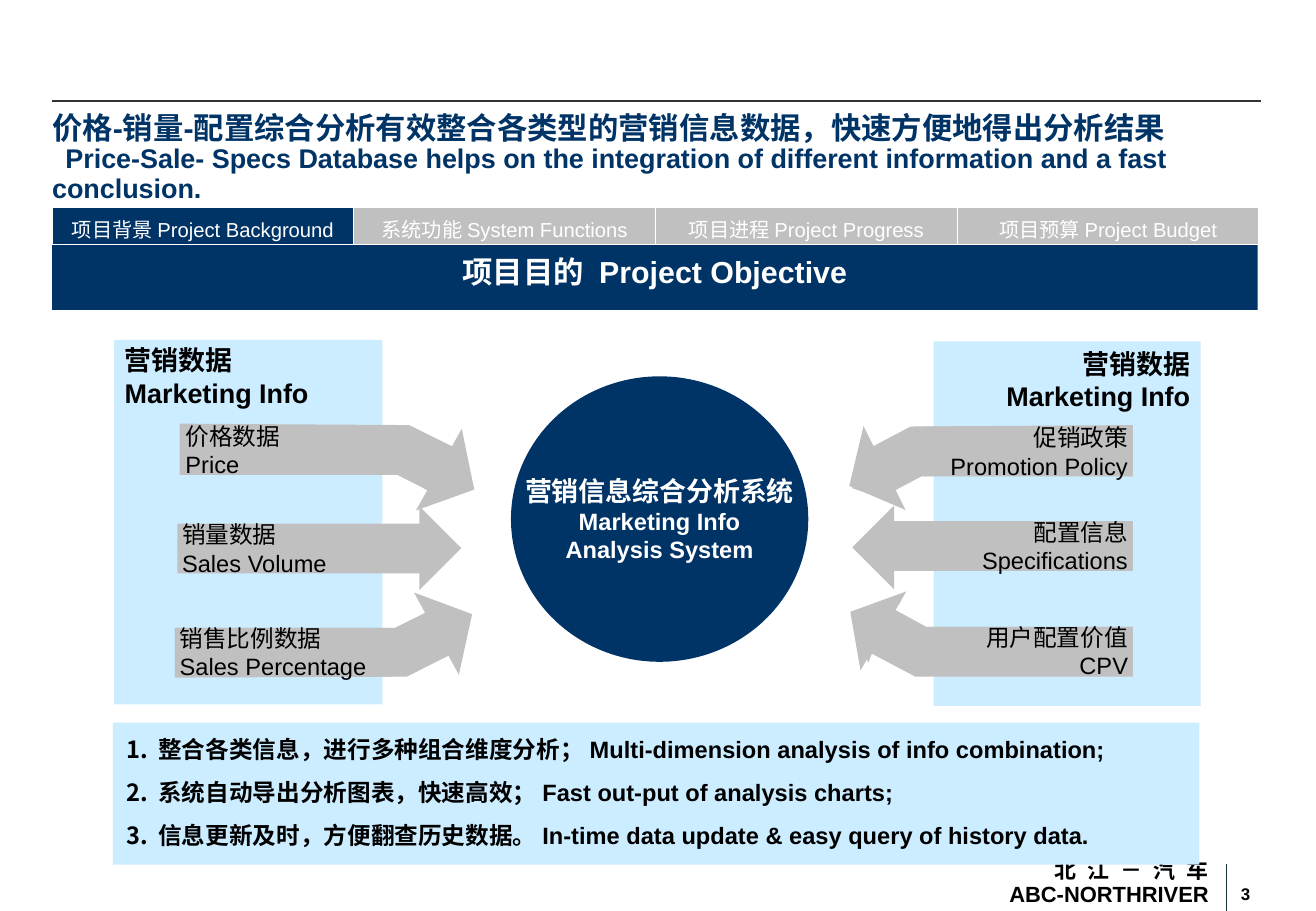
from lxml.etree import SubElement
from pptx import Presentation
from pptx.dml.color import RGBColor
from pptx.enum.shapes import MSO_CONNECTOR, MSO_SHAPE
from pptx.enum.text import MSO_ANCHOR, PP_ALIGN
from pptx.oxml.ns import qn
from pptx.util import Cm, Pt

NAVY = RGBColor(0x00, 0x33, 0x66)
SKY = RGBColor(0xCC, 0xEC, 0xFF)
GREY = RGBColor(0xC0, 0xC0, 0xC0)
CHARCOAL = RGBColor(0x33, 0x33, 0x33)
TEAL = RGBColor(0x17, 0x2F, 0x37)
BLACK = RGBColor(0x00, 0x00, 0x00)
WHITE = RGBColor(0xFF, 0xFF, 0xFF)
LEFT, CENTER, RIGHT = PP_ALIGN.LEFT, PP_ALIGN.CENTER, PP_ALIGN.RIGHT


class Deck:
    font = "Arial"

    def __init__(self, width, height):
        self.prs = Presentation()
        self.prs.slide_width, self.prs.slide_height = Cm(width), Cm(height)
        self.s = self.prs.slides.add_slide(self.prs.slide_layouts[6])

    def fill_text(self, tf, lines, color=BLACK, bold=False, align=LEFT, inset=(0, 0),
                  anchor=MSO_ANCHOR.TOP, wrap=True, leading=None, before=0, numbered=False):
        tf.word_wrap, tf.vertical_anchor = wrap, anchor
        tf.margin_left = tf.margin_right = Cm(inset[0])
        tf.margin_top = tf.margin_bottom = Cm(inset[1])
        for i, runs in enumerate(lines):
            p = tf.paragraphs[0] if i == 0 else tf.add_paragraph()
            p.alignment = align
            if leading:
                p.line_spacing = leading
            if numbered:
                pPr = p._p.get_or_add_pPr()
                pPr.set("marL", str(Cm(0.67)))
                pPr.set("indent", str(-Cm(0.67)))
                SubElement(pPr, qn("a:buAutoNum"), type="arabicPeriod")
            if i and before:
                p.space_before = Pt(before)
            for text, size, *spacing in runs:
                r = p.add_run()
                r.text = text
                r.font.name, r.font.size, r.font.bold = self.font, Pt(size), bold
                r.font.color.rgb = color
                if spacing:
                    r._r.get_or_add_rPr().set("spc", str(spacing[0]))

    def text(self, box, lines, **style):
        tf = self.s.shapes.add_textbox(*map(Cm, box)).text_frame
        self.fill_text(tf, lines, **style)
        return tf

    def paint(self, sp, fill):
        sp.shadow.inherit = False
        sp.fill.solid()
        sp.fill.fore_color.rgb = fill
        sp.line.fill.background()

    def shape(self, kind, box, fill, lines=(), rotation=0, **style):
        sp = self.s.shapes.add_shape(kind, *map(Cm, box))
        self.paint(sp, fill)
        sp.rotation = rotation
        if lines:
            self.fill_text(sp.text_frame, lines, anchor=MSO_ANCHOR.MIDDLE, **style)

    def outline(self, points, fill):
        start, *rest = [(Cm(x), Cm(y)) for x, y in points]
        builder = self.s.shapes.build_freeform(*start)
        builder.add_line_segments(rest, close=True)
        self.paint(builder.convert_to_shape(), fill)

    def line(self, x1, y1, x2, y2, color, width):
        c = self.s.shapes.add_connector(MSO_CONNECTOR.STRAIGHT, *map(Cm, (x1, y1, x2, y2)))
        c.line.color.rgb, c.line.width = color, Pt(width)
        SubElement(c._element.spPr, qn("a:effectLst"))

    def tabs(self, box, labels, active):
        table = self.s.shapes.add_table(1, len(labels), *map(Cm, box)).table
        for i, label in enumerate(labels):
            table.columns[i].width = Cm(box[2] / len(labels))
            cell = table.cell(0, i)
            self.fill_text(cell.text_frame, [[(label, 12)]], color=WHITE, align=CENTER)
            cell.vertical_anchor = MSO_ANCHOR.MIDDLE
            cell.margin_left = cell.margin_right = Cm(0.1)
            cell.margin_top = cell.margin_bottom = Cm(0.13)
            tcPr = cell._tc.get_or_add_tcPr()
            for side in ("lnL", "lnR", "lnT", "lnB"):
                ln = SubElement(tcPr, qn(f"a:{side}"), w=str(Pt(0.75)))
                SubElement(SubElement(ln, qn("a:solidFill")), qn("a:srgbClr"), val=str(WHITE))
            cell.fill.solid()
            cell.fill.fore_color.rgb = NAVY if i == active else GREY

    def feed(self, lines, align, label, head, kind=MSO_SHAPE.LEFT_ARROW, rotation=0, bend=()):
        if bend:
            self.outline(bend, GREY)
        self.shape(MSO_SHAPE.RECTANGLE, label, GREY, [[(t, 14)] for t in lines],
                   align=align, inset=(0.1, 0.1))
        self.shape(kind, head, GREY, rotation=rotation)


def main():
    d = Deck(27.53, 19.05)
    rect = MSO_SHAPE.RECTANGLE

    d.line(1.09, 2.11, 26.37, 2.11, CHARCOAL, 0.75)
    d.text((20.07, 17.98, 5.21, 0.99),
           [[("北 江 － 汽 ", 13, 180), ("车", 13)], [("ABC-NORTHRIVER", 13)]],
           bold=True, align=RIGHT, leading=0.9)
    d.text((25.96, 18.47, 0.43, 0.36), [[("3", 10)]], bold=True, wrap=False)
    d.line(25.65, 18.06, 25.65, 19.05, TEAL, 0.75)
    d.line(1.07, 4.75, 26.37, 4.75, WHITE, 1.5)
    d.line(1.09, 4.7, 26.42, 4.7, WHITE, 1.5)

    d.shape(rect, (1.09, 4.88, 25.22, 1.6), NAVY,
            [[("项目目的", 18), (" ", 18, 500), ("Project Objective", 18)]],
            color=WHITE, bold=True, align=CENTER, inset=(0.1, 0.1))
    d.tabs((1.09, 4.34, 25.25, 0.61),
           ["项目背景 Project Background", "系统功能 System Functions",
            "项目进程 Project Progress", "项目预算 Project Budget"], active=0)

    d.shape(rect, (2.39, 7.11, 5.61, 7.62), SKY)
    d.shape(rect, (19.53, 7.14, 5.59, 7.62), SKY)

    d.feed(["销量数据", "Sales Volume"], LEFT, (3.71, 10.95, 5.28, 1.04),
           (7.82, 10.59, 1.83, 1.75), kind=MSO_SHAPE.RIGHT_ARROW)
    d.feed(["销售比例数据", "Sales Percentage"], LEFT, (3.66, 13.13, 4.55, 1.02),
           (8.28, 12.27, 1.7, 1.96), rotation=151.4,
           bend=[(3.66, 13.13), (8.26, 13.13), (8.97, 12.78), (8.81, 12.57), (9.78, 12.88),
                 (9.55, 13.89), (9.47, 13.67), (8.51, 14.15), (3.66, 14.17)])
    d.feed(["促销政策", "Promotion Policy"], RIGHT, (19.33, 8.92, 4.37, 1.04),
           (17.68, 8.81, 1.65, 1.96), rotation=333.3,
           bend=[(23.7, 9.96), (19.28, 9.96), (18.62, 10.31), (18.75, 10.52), (17.83, 10.21),
                 (18.06, 9.17), (18.14, 9.4), (19.05, 8.92), (23.7, 8.89)])
    d.feed(["用户配置价值", "CPV"], RIGHT, (19.41, 13.11, 4.29, 1.02),
           (17.68, 12.24, 1.6, 1.91), rotation=30.1,
           bend=[(23.7, 13.11), (19.38, 13.11), (18.72, 12.75), (18.85, 12.57), (17.96, 12.88),
                 (18.16, 13.87), (18.24, 13.67), (19.15, 14.15), (23.7, 14.15)])
    d.feed(["价格数据", "Price"], LEFT, (3.78, 8.89, 4.5, 1.04),
           (8.33, 8.84, 1.7, 1.96), rotation=209.3,
           bend=[(3.76, 9.93), (8.31, 9.93), (9.02, 10.29), (8.86, 10.46), (9.8, 10.16),
                 (9.6, 9.14), (9.53, 9.37), (8.56, 8.89), (3.76, 8.86)])
    d.feed(["配置信息", "Specifications"], RIGHT, (18.47, 10.9, 5.23, 1.04),
           (17.83, 10.57, 1.8, 1.75))

    d.shape(MSO_SHAPE.OVAL, (10.69, 7.87, 6.22, 5.97), NAVY,
            [[("营销信息综合分析系统", 16)], [("Marketing Info", 14)], [("Analysis System", 14)]],
            color=WHITE, bold=True, align=CENTER, inset=(0.25, 0.13), wrap=False)
    for x, y, align in ((2.36, 7.06, LEFT), (20.17, 7.14, RIGHT)):
        d.text((x, y, 4.98, 1.63), [[("营销数据", 16)], [("Marketing Info", 16)]],
               bold=True, align=align, inset=(0.25, 0.13))

    d.shape(rect, (2.36, 15.11, 22.73, 2.97), SKY)
    benefits = [
        ("整合各类信息，进行多种组合维度分析；", "Multi-dimension analysis of info combination;"),
        ("系统自动导出分析图表，快速高效；", "Fast out-put of analysis charts;"),
        ("信息更新及时，方便翻查历史数据。", "In-time data update & easy query of history data."),
    ]
    d.text((2.39, 15.24, 22.71, 2.67), [[(f"{zh} {en}", 14)] for zh, en in benefits],
           bold=True, inset=(0.25, 0.13), before=8.8, numbered=True)

    title = d.text(
        (1.09, 2.36, 25.3, 1.9),
        [[("价格-销量-配置综合分析有效整合各类型的营销信息数据，快速方便地得出分析结果", 18)],
         [("Price-Sale- Specs Database helps on the integration of different "
           "information and a fast conclusion.", 16)]],
        color=NAVY, bold=True, leading=0.9)
    title.paragraphs[1]._p.get_or_add_pPr().set("indent", str(Cm(0.28)))
    d.prs.save("out.pptx")


if __name__ == "__main__":
    main()
